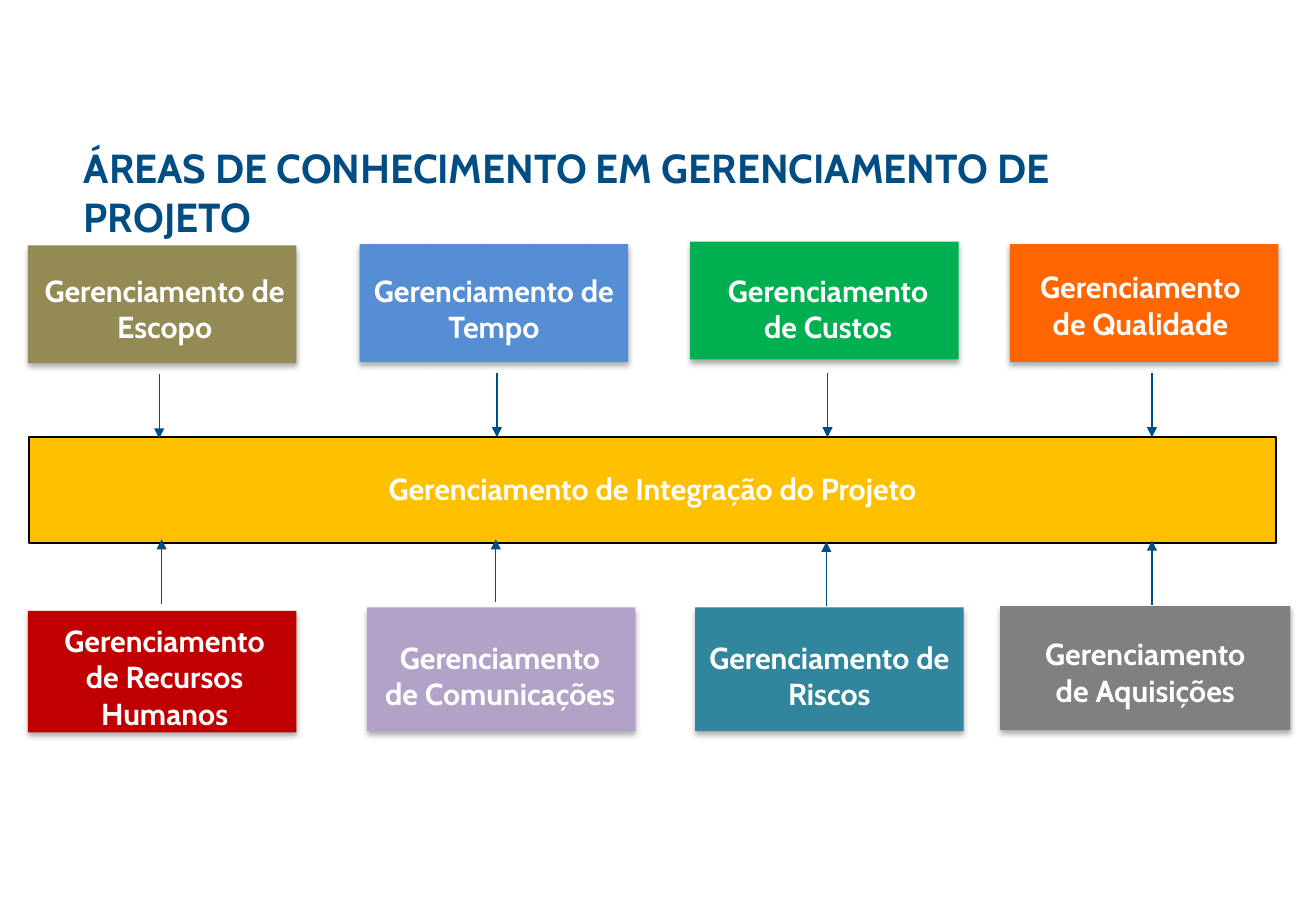
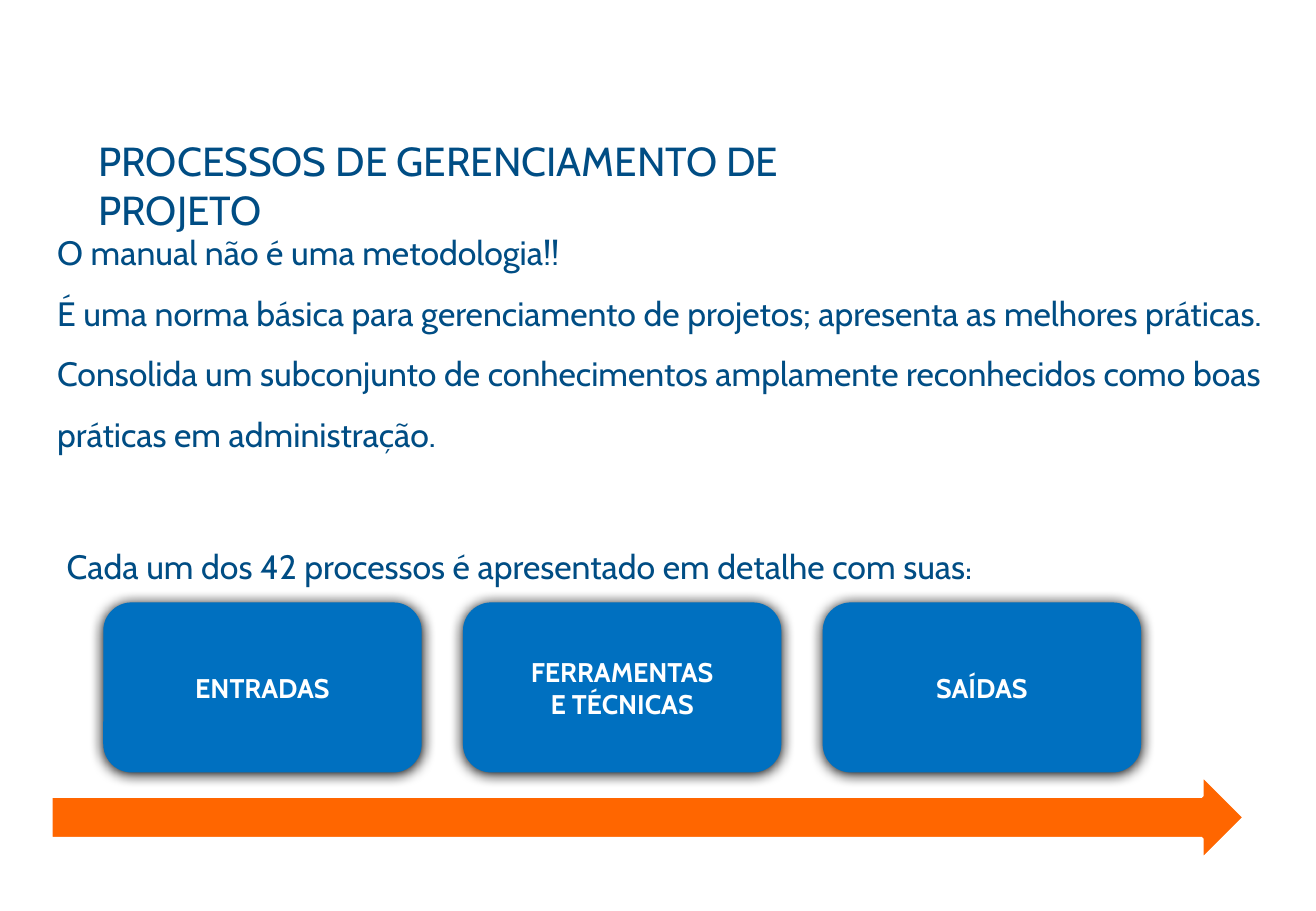
from lxml.etree import SubElement as Sub
from pptx import Presentation
from pptx.dml.color import RGBColor
from pptx.enum.shapes import MSO_CONNECTOR as Link, MSO_SHAPE as Kind
from pptx.enum.text import MSO_ANCHOR as Anchor, MSO_AUTO_SIZE as Fit, PP_ALIGN as Align
from pptx.oxml.ns import qn
from pptx.util import Pt

px = 9144  # 100 px to the inch
rgb = RGBColor.from_string
FONT, NAVY, WHITE, ORANGE = "Cabin", "004D84", "FFFFFF", "FF6600"
SOFT = (32, 3.5, 2.2)  # shadow: opacity %, blur pt, distance pt
DARK = (100, 8.5, 1)


def write(frame, text, size, hue, bold=False, align=Align.LEFT, gap=1.0):
    frame.text = text
    frame.word_wrap = True
    frame.auto_size = Fit.NONE
    for para in frame.paragraphs:
        para.alignment = align
        para.line_spacing = gap
        para.space_before = Pt(0)
        for run in para.runs:
            font = run.font
            font.name, font.size, font.bold = FONT, Pt(size), bold
            font.color.rgb = rgb(hue)


def draw(slide, kind, at, fill, line=None, width=1, shade=None):
    shape = slide.shapes.add_shape(kind, *[n * px for n in at])
    shape.fill.solid()
    shape.fill.fore_color.rgb = rgb(fill)
    if line:
        shape.line.color.rgb = rgb(line)
        shape.line.width = Pt(width)
    else:
        shape.line.fill.background()
    shape.shadow.inherit = False
    if shade:
        alpha, blur, dist = shade
        glow = Sub(shape._element.spPr.find(qn("a:effectLst")), qn("a:outerShdw"),
                   blurRad=str(Pt(blur)), dist=str(Pt(dist)), dir="5400000",
                   algn="ctr", rotWithShape="0")
        tone = Sub(glow, qn("a:srgbClr"), val="000000")
        Sub(tone, qn("a:alpha"), val=str(alpha * 1000))
    return shape


deck = Presentation()
deck.slide_width, deck.slide_height = 1083 * px, 750 * px

# Slides and titles: layout, text, place, bold
pages = []
for layout, text, at, bold in [
    (5, "ÁREAS DE CONHECIMENTO EM GERENCIAMENTO DE PROJETO", (59, 113, 900, 90), True),
    (1, "PROCESSOS DE GERENCIAMENTO DE PROJETO", (71, 107, 660, 90), False),
]:
    page = deck.slides.add_slide(deck.slide_layouts[layout])
    title = page.shapes.title
    title.left, title.top, title.width, title.height = [n * px for n in at]
    write(title.text_frame, text, 24, NAVY, bold)
    title.text_frame.vertical_anchor = Anchor.TOP
    pages.append(page)
areas, steps = pages

# Knowledge areas: text, place, fill, text shift right, text top
for text, at, fill, shift, top in [
    ("Gerenciamento de Escopo", (23, 202, 221, 97), "948A54", 2, 22),
    ("Gerenciamento de Tempo", (296, 201, 221, 97), "558ED5", 0, 23),
    ("Gerenciamento\nde Custos", (568, 199, 221, 97), "00B050", 3, 25),
    ("Gerenciamento\nde Qualidade", (831, 201, 221, 97), ORANGE, -3, 20),
    ("Gerenciamento de Integração do Projeto", (24, 360, 1026, 87), "FFC000", 0, 27),
    ("Gerenciamento\nde Recursos\nHumanos", (23, 503, 221, 100), "C00000", 2, 9),
    ("Gerenciamento\nde Comunicações", (302, 500, 221, 102), "B3A2C7", -1, 26),
    ("Gerenciamento de Riscos", (572, 500, 221, 102), "31859C", 0, 26),
    ("Gerenciamento\nde Aquisições", (823, 499, 239, 102), "808080", 0, 24),
]:
    hub = "Integração" in text
    box = draw(areas, Kind.RECTANGLE, at, fill, line="000000" if hub else None,
               shade=None if hub else SOFT)
    frame = box.text_frame
    write(frame, text, 18, WHITE, True, Align.CENTER)
    frame.vertical_anchor = Anchor.TOP
    frame.margin_left, frame.margin_right = (5 + shift) * px, (5 - shift) * px
    frame.margin_top, frame.margin_bottom = top * px, 0

# Arrows into the central bar: x, start, end
for x, start, end in [
    (131, 308, 361), (409, 307, 360), (681, 307, 360), (948, 307, 360),
    (133, 497, 444), (408, 496, 444), (680, 499, 446), (948, 498, 445),
]:
    link = areas.shapes.add_connector(Link.STRAIGHT, x * px, start * px, x * px, end * px)
    link.line.color.rgb = rgb(NAVY)
    link.line.width = Pt(0.75)
    Sub(link.line._get_or_add_ln(), qn("a:tailEnd"), type="triangle")
    Sub(link._element.spPr, qn("a:effectLst"))

# Body text without bullets
body = steps.placeholders[1]
body.left, body.top, body.width, body.height = [n * px for n in (37, 169, 1046, 215)]
write(body.text_frame, "O manual não é uma metodologia!!\n"
      "É uma norma básica para gerenciamento de projetos; apresenta as melhores práticas.\n"
      "Consolida um subconjunto de conhecimentos amplamente reconhecidos como boas "
      "práticas em administração.", 20, NAVY, gap=1.5)
for para in body.text_frame.paragraphs:
    props = para._p.get_or_add_pPr()
    props.set("marL", "0")
    props.set("indent", "0")
    Sub(props, qn("a:buNone"))

# Lead-in to the process boxes
note = steps.shapes.add_textbox(*[n * px for n in (45, 428, 948, 60)]).text_frame
write(note, "Cada um dos 42 processos é apresentado em detalhe com suas", 20, NAVY,
      align=Align.JUSTIFY, gap=1.5)
colon = note.paragraphs[0].add_run()
colon.text = ":"
colon.font.name, colon.font.size, colon.font.bold = FONT, Pt(14), True
colon.font.color.rgb = rgb(NAVY)

# Process flow
draw(steps, Kind.RIGHT_ARROW, (42, 638, 982, 70), ORANGE, line=WHITE, width=2)
for i, text in enumerate(["ENTRADAS", "FERRAMENTAS\nE TÉCNICAS", "SAÍDAS"]):
    box = draw(steps, Kind.ROUNDED_RECTANGLE, (85 + 296 * i, 496, 262, 140), "0070C0", shade=DARK)
    write(box.text_frame, text, 16, WHITE, True, Align.CENTER)
    box.text_frame.vertical_anchor = Anchor.MIDDLE

deck.save("out.pptx")
